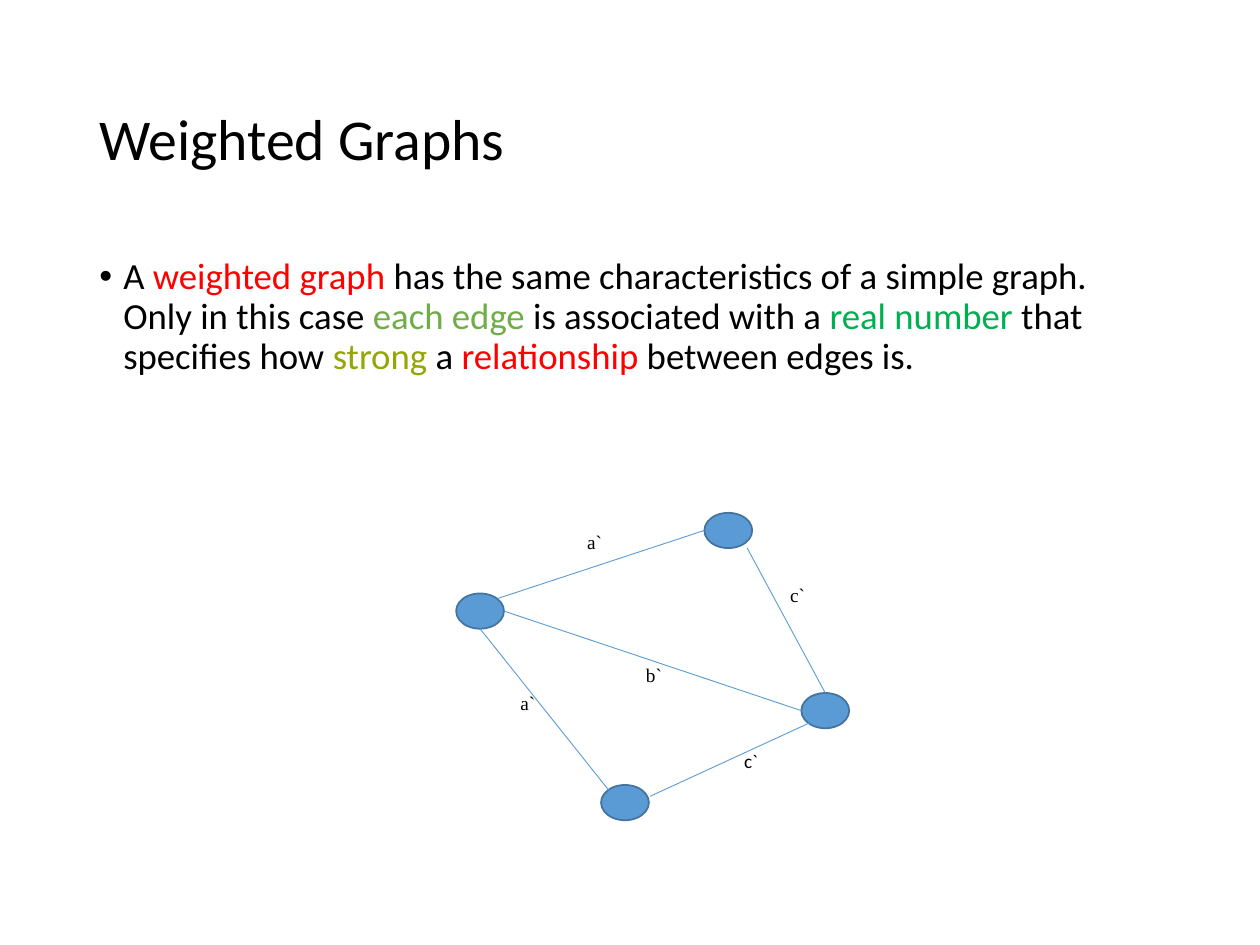
from dataclasses import dataclass
from lxml.etree import SubElement
from pptx import Presentation
from pptx.dml.color import RGBColor
from pptx.enum.shapes import MSO_CONNECTOR, MSO_SHAPE
from pptx.enum.text import MSO_ANCHOR, PP_ALIGN
from pptx.oxml.ns import qn
from pptx.util import Inches, Pt


@dataclass(frozen=True)
class Theme:
    """Colours, fonts and type sizes of the slide."""
    black: str = "000000"
    white: str = "FFFFFF"
    red: str = "FF0000"
    leaf: str = "70AD47"
    green: str = "00B050"
    olive: str = "96A507"
    blue: str = "5B9BD5"
    navy: str = "43739E"
    sans: str = "Calibri"
    serif: str = "Times New Roman"
    title: float = 33
    body: float = 21
    label: float = 11


class Deck:
    """Draws each kind of element on the current slide."""

    def __init__(self, theme):
        """Start a deck with one blank slide."""
        self.theme = theme
        self.file = Presentation()
        self.file.slide_width, self.file.slide_height = Inches(10), Inches(7.5)
        self.slide = self.file.slides.add_slide(self.file.slide_layouts[6])

    def style(self, para, size, face):
        """Set the font shared by a paragraph."""
        para.font.size, para.font.name = Pt(size), face
        para.font.color.rgb = RGBColor.from_string(self.theme.black)

    def box(self, top, height):
        """Add a wrapping text box across the slide and return its frame."""
        area = self.slide.shapes.add_textbox(
            Inches(0.69), Inches(top), Inches(8.62), Inches(height))
        area.text_frame.word_wrap = True
        area.text_frame.paragraphs[0].line_spacing = 0.9
        return area.text_frame

    def title(self, text):
        """Add the slide title."""
        frame = self.box(0.4, 1.45)
        frame.vertical_anchor = MSO_ANCHOR.MIDDLE
        para = frame.paragraphs[0]
        para.text = text
        self.style(para, self.theme.title, self.theme.sans)

    def bullet(self, parts):
        """Add a bulleted paragraph of coloured parts."""
        para = self.box(2, 4.76).paragraphs[0]
        props = para._p.get_or_add_pPr()
        props.set("marL", str(Inches(0.19)))
        props.set("indent", str(Inches(-0.19)))
        SubElement(props, qn("a:buFont"), typeface="Arial")
        SubElement(props, qn("a:buChar"), char="•")
        self.style(para, self.theme.body, self.theme.sans)
        for text, color in parts:
            run = para.add_run()
            run.text = text
            run.font.color.rgb = RGBColor.from_string(color)

    def shape(self, kind, left, top, height, fill):
        """Add a filled shape without shadow or outline."""
        item = self.slide.shapes.add_shape(
            kind, Inches(left), Inches(top), Inches(0.38), Inches(height))
        item.shadow.inherit = False
        item.fill.solid()
        item.fill.fore_color.rgb = RGBColor.from_string(fill)
        item.line.fill.background()
        return item

    def label(self, text, left, top, face):
        """Add the weight of an edge."""
        item = self.shape(MSO_SHAPE.RECTANGLE, left, top, 0.45, self.theme.white)
        frame = item.text_frame
        frame.vertical_anchor = MSO_ANCHOR.TOP
        para = frame.paragraphs[0]
        para.text = text
        para.alignment = PP_ALIGN.CENTER
        para.line_spacing, para.space_after = 1.15, Pt(10)
        self.style(para, self.theme.label, face)

    def node(self, left, top):
        """Add a vertex of the graph."""
        item = self.shape(MSO_SHAPE.OVAL, left, top, 0.28, self.theme.blue)
        item.line.color.rgb = RGBColor.from_string(self.theme.navy)
        item.line.width = Pt(1)

    def edge(self, start, end):
        """Add a line between two points."""
        line = self.slide.shapes.add_connector(
            MSO_CONNECTOR.STRAIGHT, *map(Inches, start + end))
        line.line.color.rgb = RGBColor.from_string(self.theme.blue)
        line.line.width = Pt(0.5)
        SubElement(line._element.spPr, qn("a:effectLst"))


def main():
    """Build and save the slide."""
    theme = Theme()
    deck = Deck(theme)
    deck.title("Weighted Graphs")
    deck.bullet([
        ("A ", theme.black),
        ("weighted graph ", theme.red),
        ("has the same characteristics of a simple graph. "
         "Only in this case ", theme.black),
        ("each edge ", theme.leaf),
        ("is associated with a", theme.black),
        (" real number ", theme.green),
        ("that specifies how ", theme.black),
        ("strong", theme.olive),
        (" a ", theme.black),
        ("relationship", theme.red),
        (" between edges is.", theme.black),
    ])
    for text, left, top, face in [
        ("b`", 5, 5.19, theme.serif),
        ("a`", 4.53, 4.13, theme.serif),
        ("c`", 6.14, 4.55, theme.serif),
        ("c`", 5.77, 5.87, theme.sans),
        ("a`", 4, 5.41, theme.serif),
    ]:
        deck.label(text, left, top, face)
    for left, top in [(3.62, 4.71), (6.36, 5.5), (4.77, 6.23), (5.59, 4.07)]:
        deck.node(left, top)
    for start, end in [
        ((6.55, 5.5), (5.93, 4.35)),
        ((5.59, 4.21), (3.95, 4.75)),
        ((3.81, 4.99), (4.83, 6.27)),
        ((4, 4.85), (6.36, 5.64)),
        ((6.42, 5.74), (5.16, 6.32)),
    ]:
        deck.edge(start, end)
    deck.file.save("out.pptx")


if __name__ == "__main__":
    main()
